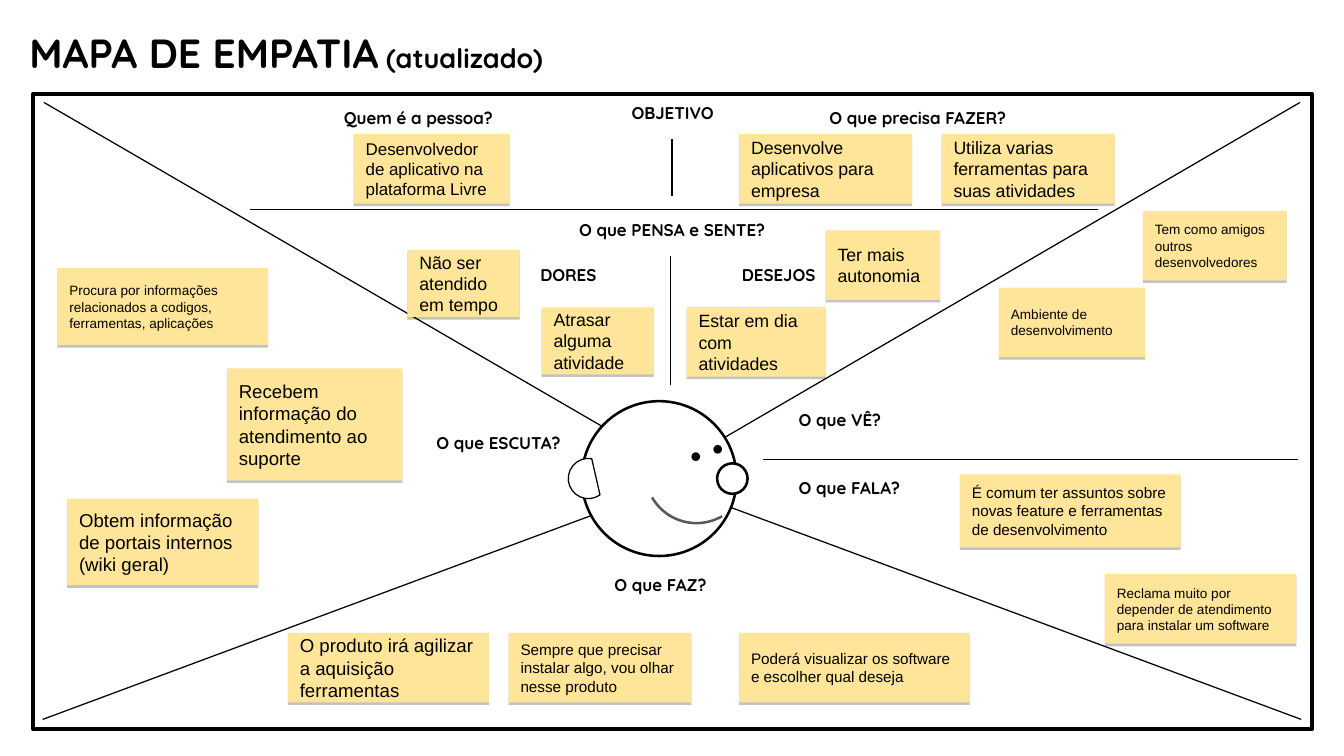
from dataclasses import dataclass

import pptx
import pptx.dml.color
import pptx.enum.shapes
import pptx.enum.text
import pptx.oxml
import pptx.oxml.ns
import pptx.util

SHAPE = pptx.enum.shapes.MSO_SHAPE
ALIGN = pptx.enum.text.PP_ALIGN
ANCHOR = pptx.enum.text.MSO_ANCHOR
NS = pptx.oxml.ns.nsdecls("a")
COLS, ROWS = 110.2, 62


@dataclass(frozen=True)
class Theme:
    """Colours, fonts and type sizes of the slide."""
    ink: str = "000000"
    paper: str = "FFFFFF"
    note: str = "FFE599"
    smile: str = "595959"
    head: str = "Quicksand"
    body: str = "Arial"
    title: float = 24
    sub: float = 16
    label: float = 10
    big: float = 11
    mid: float = 10.5
    small: float = 9
    tiny: float = 8
    thin: float = 0.75
    line: float = 1.5
    thick: float = 2.25


@dataclass(frozen=True)
class Box:
    """A region of the slide, measured in grid columns and rows."""
    x: float
    y: float
    w: float
    h: float

    def spot(self, x, y, w, h):
        """Return a box placed from this box's top left corner."""
        return Box(self.x + x, self.y + y, w, h)

    def emu(self):
        """Return left, top, width and height as lengths."""
        return [grid(n) for n in (self.x, self.y, self.w, self.h)]


THEME = Theme()


def grid(count):
    """Turn a count of grid cells into a length."""
    return pptx.util.Inches(count / 10)


def tint(code):
    """Turn a hex code into a colour."""
    return pptx.dml.color.RGBColor.from_string(code)


def write(frame, text, size, font=THEME.body, bold=False, align=ALIGN.LEFT,
          anchor=ANCHOR.TOP, inset=1):
    """Add a run to the first paragraph and format its frame."""
    frame.word_wrap = True
    frame.auto_size = pptx.enum.text.MSO_AUTO_SIZE.NONE
    frame.vertical_anchor = anchor
    frame.margin_left = frame.margin_right = grid(inset)
    frame.margin_top = frame.margin_bottom = grid(inset)
    para = frame.paragraphs[0]
    para.alignment = align
    run = para.add_run()
    run.text = text
    run.font.size = pptx.util.Pt(size)
    run.font.name = font
    run.font.bold = bold
    run.font.color.rgb = tint(THEME.ink)


def draw(shapes, kind, box, fill=None, line=None, width=THEME.line, turn=0):
    """Add a preset shape without a shadow."""
    shape = shapes.add_shape(kind, *box.emu())
    shape.shadow.inherit = False
    shape.rotation = turn
    if fill:
        shape.fill.solid()
        shape.fill.fore_color.rgb = tint(fill)
    else:
        shape.fill.background()
    if line:
        shape.line.color.rgb = tint(line)
        shape.line.width = pptx.util.Pt(width)
    else:
        shape.line.fill.background()
    return shape


def rule(shapes, box, x, y, right, down):
    """Add a thin line from a point of the box."""
    left, top = box.x + x, box.y + y
    ends = [grid(n) for n in (left, top, left + right, top + down)]
    link = shapes.add_connector(pptx.enum.shapes.MSO_CONNECTOR.STRAIGHT, *ends)
    link.line.color.rgb = tint(THEME.ink)
    link.line.width = pptx.util.Pt(THEME.thin)
    link.element.spPr.append(pptx.oxml.parse_xml(f"<a:effectLst {NS}/>"))


def label(shapes, box, text, align=ALIGN.CENTER):
    """Add a bold heading in a text box."""
    frame = shapes.add_textbox(*box.emu()).text_frame
    write(frame, text, THEME.label, font=THEME.head, bold=True, align=align)


def note(shapes, box, text, size):
    """Add a sticky note with a narrow shadow below."""
    shape = draw(shapes, SHAPE.RECTANGLE, box, fill=THEME.note)
    shade = pptx.oxml.parse_xml(
        f'<a:outerShdw {NS} blurRad="0" dist="19050" dir="5400000" '
        f'algn="bl" rotWithShape="0"><a:srgbClr val="{THEME.ink}">'
        '<a:alpha val="24000"/></a:srgbClr></a:outerShdw>')
    shape.element.spPr.find(pptx.oxml.ns.qn("a:effectLst")).append(shade)
    write(shape.text_frame, text, size, anchor=ANCHOR.MIDDLE)


def title(shapes, box):
    """Fill and place the title."""
    head = shapes.title
    head.left, head.top, head.width, head.height = box.emu()
    look = dict(font=THEME.head, bold=True, anchor=ANCHOR.MIDDLE, inset=0.4)
    write(head.text_frame, "MAPA DE EMPATIA", THEME.title, **look)
    write(head.text_frame, " (atualizado)", THEME.sub, **look)


def border(shapes, box):
    """Draw the frame and the four diagonals."""
    draw(shapes, SHAPE.RECTANGLE, box, line=THEME.ink, width=THEME.thick)
    for x, y, right, down in ((0.8, 51.3, 52.2, -19.4), (104, 51.3, -52.2, -19.4),
                              (0.9, 0.7, 52.2, 30.3), (103.9, 0.7, -52.2, 30.4)):
        rule(shapes, box, x, y, right, down)


def face(shapes, box):
    """Draw the head, nose, eyes, smile and ear as one group."""
    group = shapes.add_group_shape().shapes
    look = dict(fill=THEME.paper, line=THEME.ink)
    draw(group, SHAPE.OVAL, box.spot(1.1, 0, 12.7, 12.7), **look)
    draw(group, SHAPE.OVAL, box.spot(12.2, 5.1, 2.5, 2.5), **look)
    for x, y in ((12, 3.7), (10.2, 4.3)):
        draw(group, SHAPE.OVAL, box.spot(x, y, 0.5, 0.5),
             fill=THEME.ink, line=THEME.ink)
    draw(group, SHAPE.ARC, box.spot(6.3, 1.6, 8.4, 8.4),
         line=THEME.smile, turn=150)
    draw(group, SHAPE.CHORD, box.spot(0, 4.7, 3.3, 3.3),
         width=THEME.thin, turn=9.6, **look)


def goal(shapes, box):
    """Place the person and the tasks across the top."""
    rule(shapes, box, 0.7, 9.8, 69.5, 0)
    rule(shapes, box, 35.3, 4, 0, 4.7)
    label(shapes, box.spot(0, 0.4, 29, 3.9), "Quem é a pessoa?")
    label(shapes, box.spot(39, 0.4, 32.9, 3.9), "O que precisa FAZER?")
    label(shapes, box.spot(28.1, 0, 14.5, 3.9), "OBJETIVO")
    for x, w, size, text in (
            (9.2, 12.8, THEME.label, "Desenvolvedor de aplicativo na plataforma Livre"),
            (40.8, 14.2, THEME.mid, "Desenvolve aplicativos para empresa"),
            (57.4, 14.2, THEME.mid, "Utiliza varias ferramentas para suas atividades")):
        note(shapes, box.spot(x, 3.6, w, 5.7), text, size)


def think(shapes, box):
    """Place pains and wishes above the head."""
    rule(shapes, box, 26, 4, 0, 10.6)
    label(shapes, box.spot(0, 0, box.w, 3.9), "O que PENSA e SENTE?")
    label(shapes, box.spot(9.2, 3.7, 16.8, 3.9), "DORES")
    label(shapes, box.spot(24.7, 3.7, 20.3, 3.9), "DESEJOS")
    for x, y, w, h, text in (
            (4.4, 3.5, 9.2, 5.5, "Não ser atendido em tempo"),
            (15.4, 8.2, 9.2, 5.5, "Atrasar alguma atividade"),
            (27.3, 8.2, 11.4, 5.7, "Estar em dia com atividades"),
            (38.7, 1.9, 9.4, 5.7, "Ter mais autonomia")):
        note(shapes, box.spot(x, y, w, h), text, THEME.mid)


def hear(shapes, box):
    """Place what the person hears on the left."""
    label(shapes, box.spot(30.1, 12.5, 15.4, 9.1), "O que ESCUTA?", ALIGN.LEFT)
    for x, y, w, h, size, text in (
            (0, 0, 17.3, 6.3, THEME.tiny,
             "Procura por informações relacionados a codigos, ferramentas, aplicações"),
            (13.9, 8.2, 14.4, 9.2, THEME.big,
             "Recebem informação do atendimento ao suporte"),
            (0.8, 18.9, 15.7, 7.1, THEME.big,
             "Obtem informação de portais internos (wiki geral)")):
        note(shapes, box.spot(x, y, w, h), text, size)


def sight(shapes, box):
    """Place what the person sees and says on the right."""
    rule(shapes, box, 0, 20.4, box.w, 0)
    for y, text in ((15.3, "O que VÊ?"), (20.9, "O que FALA?")):
        label(shapes, box.spot(1.9, y, 31.8, 3.9), text, ALIGN.LEFT)
    for x, y, w, h, size, text in (
            (31.1, 0, 11.8, 5.7, THEME.tiny, "Tem como amigos outros desenvolvedores"),
            (19.3, 6.3, 12, 5.7, THEME.tiny, "Ambiente de desenvolvimento"),
            (16.1, 21.6, 18.1, 6, THEME.small,
             "É comum ter assuntos sobre novas feature e ferramentas de desenvolvimento"),
            (28, 29.8, 15.7, 5.7, THEME.tiny,
             "Reclama muito por depender de atendimento para instalar um software")):
        note(shapes, box.spot(x, y, w, h), text, size)


def deeds(shapes, box):
    """Place what the person does along the bottom."""
    label(shapes, box.spot(10, 0, 41.1, 3.9), "O que FAZ?")
    for x, w, size, text in (
            (0, 16.5, THEME.big, "O produto irá agilizar a aquisição ferramentas"),
            (18.1, 15, THEME.small,
             "Sempre que precisar instalar algo, vou olhar nesse produto"),
            (37, 18.9, THEME.small,
             "Poderá visualizar os software e escolher qual deseja")):
        note(shapes, box.spot(x, 5.8, w, 5.7), text, size)


def main():
    """Build the empathy map and save it."""
    deck = pptx.Presentation()
    deck.slide_width, deck.slide_height = grid(COLS), grid(ROWS)
    shapes = deck.slides.add_slide(deck.slide_layouts[5]).shapes
    for region, box in (
            (border, Box(2.7, 7.7, 104.9, 52.1)), (title, Box(2, 1.8, 92.3, 5)),
            (face, Box(46.6, 32.9, 14.7, 12.7)), (goal, Box(19.8, 7.4, 71.9, 9.8)),
            (think, Box(29, 17, 52.2, 14.6)), (hear, Box(4.7, 22, 45.5, 26)),
            (sight, Box(62.6, 17.3, 43.8, 35.5)), (deeds, Box(23.6, 46.1, 55.9, 11.5))):
        region(shapes, box)
    deck.save("out.pptx")


if __name__ == "__main__":
    main()
